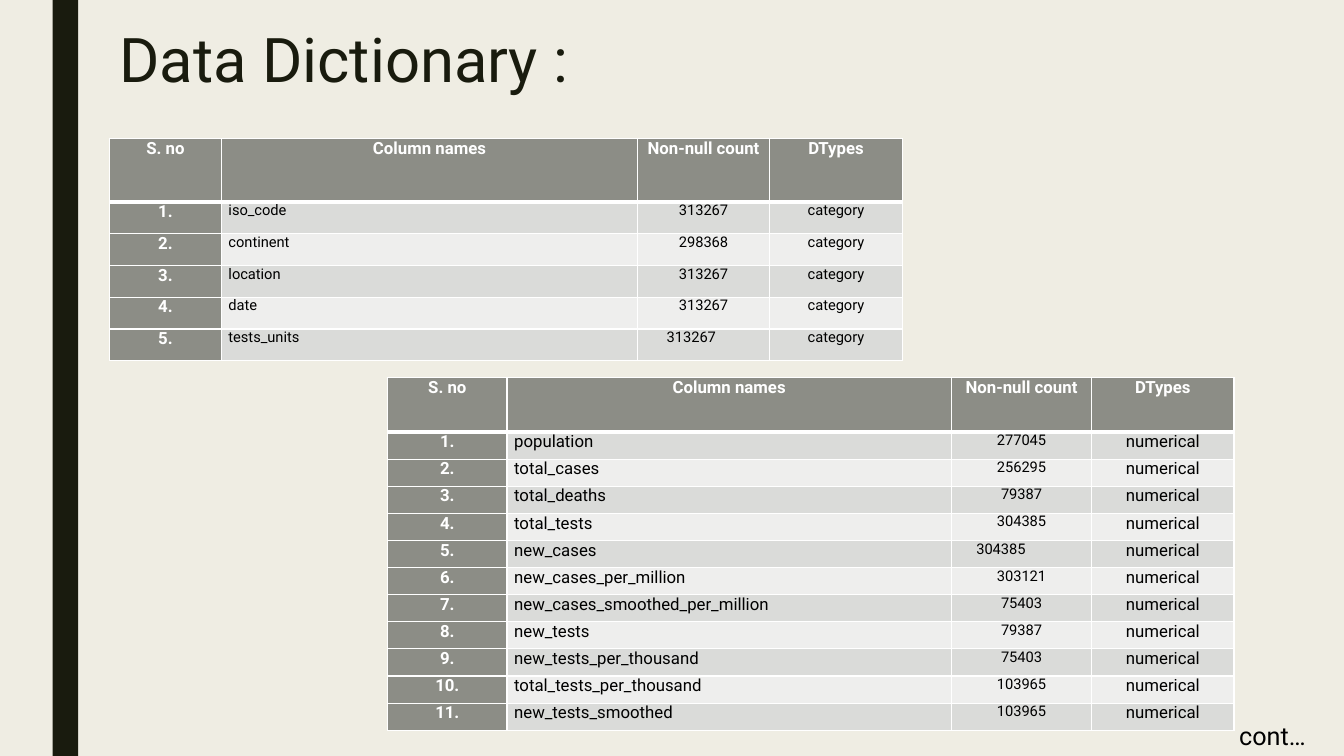
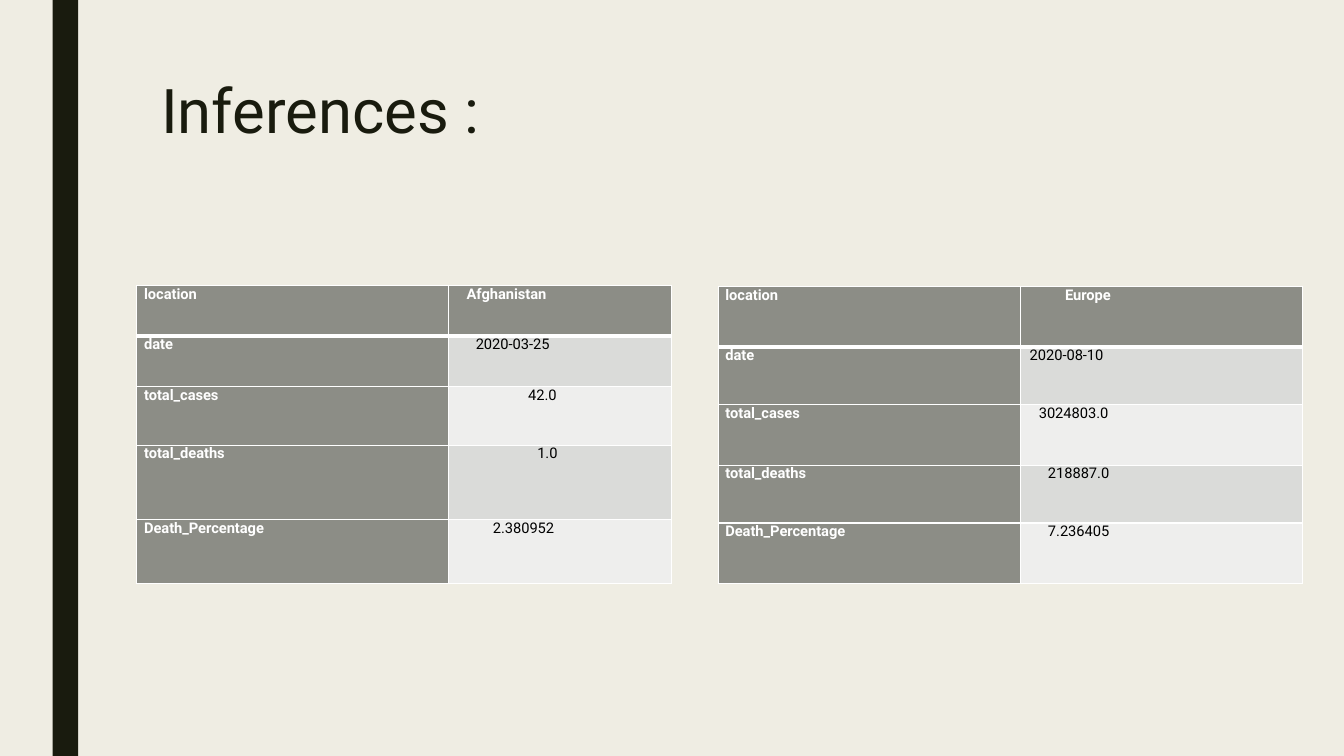
import pptx
import pptx.dml.color
import pptx.enum.shapes
import pptx.enum.text
import pptx.oxml
import pptx.oxml.ns
import pptx.util

Cm, Pt = pptx.util.Cm, pptx.util.Pt
ALIGN = pptx.enum.text.PP_ALIGN

FONT = "Roboto"
COLORS = {
    "background": "EFEDE3",
    "dark": "191B0E",
    "head": "8C8D86",
    "odd": "DADBD9",
    "even": "EEEEED",
    "white": "FFFFFF",
    "black": "000000",
}
SLIDE_W, SLIDE_H = 33.87, 19.05
DICTIONARY_SHARES = (0.141, 0.525, 0.166, 0.168)
DICTIONARY_HEAD = ("S. no", "Column names", "Non-null count", "DTypes")

CATEGORY_COLUMNS = [
    ("iso_code", "313267"),
    ("continent", "298368"),
    ("location", "313267"),
    ("date", "313267"),
    ("tests_units", "313267"),
]
NUMERICAL_COLUMNS = [
    ("population", "277045"),
    ("total_cases", "256295"),
    ("total_deaths", "79387"),
    ("total_tests", "304385"),
    ("new_cases", "304385"),
    ("new_cases_per_million", "303121"),
    ("new_cases_smoothed_per_million", "75403"),
    ("new_tests", "79387"),
    ("new_tests_per_thousand", "75403"),
    ("total_tests_per_thousand", "103965"),
    ("new_tests_smoothed", "103965"),
]
MEASURES = ("location", "date", "total_cases", "total_deaths", "Death_Percentage")
AFGHANISTAN = ("Afghanistan", "2020-03-25", "42.0", "1.0", "2.380952")
EUROPE = ("Europe", "2020-08-10", "3024803.0", "218887.0", "7.236405")


def rgb(name):
    return pptx.dml.color.RGBColor.from_string(COLORS[name])


def style_text(p, size, color, bold=False):
    for r in p.runs:
        r.font.name = FONT
        r.font.size = Pt(size)
        r.font.bold = bold
        r.font.color.rgb = rgb(color)


# Shared side band and title
def add_band(s):
    band = s.shapes.add_shape(pptx.enum.shapes.MSO_SHAPE.RECTANGLE,
                              Cm(1.33), 0, Cm(0.64), Cm(SLIDE_H))
    band.shadow.inherit = False
    band.fill.solid()
    band.fill.fore_color.rgb = rgb("dark")
    band.line.fill.background()


def set_title(s, text, box):
    title = s.shapes.title
    title.left, title.top, title.width, title.height = map(Cm, box)
    tf = title.text_frame
    tf.text = text
    tf.word_wrap = True
    tf.auto_size = pptx.enum.text.MSO_AUTO_SIZE.NONE
    tf.vertical_anchor = pptx.enum.text.MSO_ANCHOR.TOP
    p = tf.paragraphs[0]
    p.alignment = ALIGN.LEFT
    p.line_spacing = 0.89
    style_text(p, 44, "dark")


# Tables
def set_borders(cell, top, bottom):
    tc_pr = cell._tc.get_or_add_tcPr()
    widths = (("L", 1), ("R", 1), ("T", top), ("B", bottom))
    for i, (side, width) in enumerate(widths):
        tc_pr.insert(i, pptx.oxml.parse_xml(
            f'<a:ln{side} {pptx.oxml.ns.nsdecls("a")} w="{Pt(width)}">'
            f'<a:solidFill><a:srgbClr val="{COLORS["white"]}"/></a:solidFill>'
            f'</a:ln{side}>'))


def format_cell(cell, row, col, text, size, centred, indent):
    is_head = row == 0 or col == 0
    cell.margin_left = cell.margin_right = Cm(0.18)
    cell.margin_top = cell.margin_bottom = 0
    cell.fill.solid()
    cell.fill.fore_color.rgb = rgb("head" if is_head else "odd" if row % 2 else "even")
    set_borders(cell, top=3 if row == 1 else 1, bottom=3 if row == 0 else 1)
    p = cell.text_frame.paragraphs[0]
    p.text = text
    p.alignment = ALIGN.CENTER if centred and not indent else ALIGN.LEFT
    if indent:
        p._p.get_or_add_pPr().set("marL", str(Cm(indent)))
    style_text(p, size, "white" if is_head else "black", is_head)


def add_data_table(s, rows, left, top, widths, heights, head_size, body_sizes,
                   centred_cols=(), indents=None):
    """Indents map (row, column) to a left indent in centimetres."""
    indents = indents or {}
    frame = s.shapes.add_table(len(rows), len(widths), Cm(left), Cm(top),
                               Cm(sum(widths)), Cm(sum(heights)))
    table = frame.table
    for column, width in zip(table.columns, widths):
        column.width = Cm(width)
    for i, (values, height) in enumerate(zip(rows, heights)):
        table.rows[i].height = Cm(height)
        for j, text in enumerate(values):
            size = head_size if i == 0 or j == 0 else body_sizes[j - 1]
            centred = bool(centred_cols) and (i == 0 or j in centred_cols)
            format_cell(table.cell(i, j), i, j, text, size, centred,
                        indents.get((i, j)))


def add_dictionary_table(s, columns, dtype, box, body_sizes, indents):
    left, top, width, height = box
    rows = [DICTIONARY_HEAD]
    rows += [(f"{n}.", name, count, dtype)
             for n, (name, count) in enumerate(columns, 1)]
    row_height = height / (len(rows) + 1)  # the heading is two rows high
    heights = [2 * row_height] + [row_height] * len(columns)
    add_data_table(s, rows, left, top, [width * share for share in DICTIONARY_SHARES],
                   heights, 12, body_sizes, (0, 2, 3), indents)


def add_inference_table(s, values, left, top, widths, heights, value_indents):
    indents = {(i, 1): indent for i, indent in enumerate(value_indents)}
    add_data_table(s, list(zip(MEASURES, values)), left, top, widths, heights,
                   10.5, (10.5,), indents=indents)


def add_continuation(s, box):
    tf = s.shapes.add_textbox(*map(Cm, box)).text_frame
    tf.word_wrap = True
    tf.text = "cont…"
    style_text(tf.paragraphs[0], 18, "black")


# Slides
def build_dictionary(s):
    add_band(s)
    set_title(s, "Data Dictionary :", (2.76, 0.63, 26.67, 2.24))
    add_dictionary_table(s, CATEGORY_COLUMNS, "category", (2.76, 3.49, 19.99, 5.6),
                         (10.5, 10.5, 10.5), {(5, 2): 0.55})
    add_dictionary_table(s, NUMERICAL_COLUMNS, "numerical", (9.77, 9.52, 21.33, 8.89),
                         (12, 10.5, 12), {(5, 2): 0.45})
    add_continuation(s, (30.98, 18.02, 2.88, 1.02))


def build_inferences(s):
    add_band(s)
    set_title(s, "Inferences :", (3.81, 1.9, 26.67, 3.12))
    add_inference_table(s, AFGHANISTAN, 3.45, 7.2, (7.85, 5.63),
                        (1.27, 1.27, 1.48, 1.88, 1.6),
                        (0.28, 0.51, 1.83, 2.06, 0.94))
    add_inference_table(s, EUROPE, 18.1, 7.22, (7.62, 7.11),
                        (1.53, 1.45, 1.52, 1.46, 1.52),
                        (0.94, 0.05, 0.28, 0.51, 0.51))


def main():
    prs = pptx.Presentation()
    prs.slide_width, prs.slide_height = Cm(SLIDE_W), Cm(SLIDE_H)
    background = prs.slide_master.background.fill
    background.solid()
    background.fore_color.rgb = rgb("background")
    title_only = prs.slide_layouts[5]
    for build in (build_dictionary, build_inferences):
        build(prs.slides.add_slide(title_only))
    prs.save("out.pptx")


if __name__ == "__main__":
    main()
